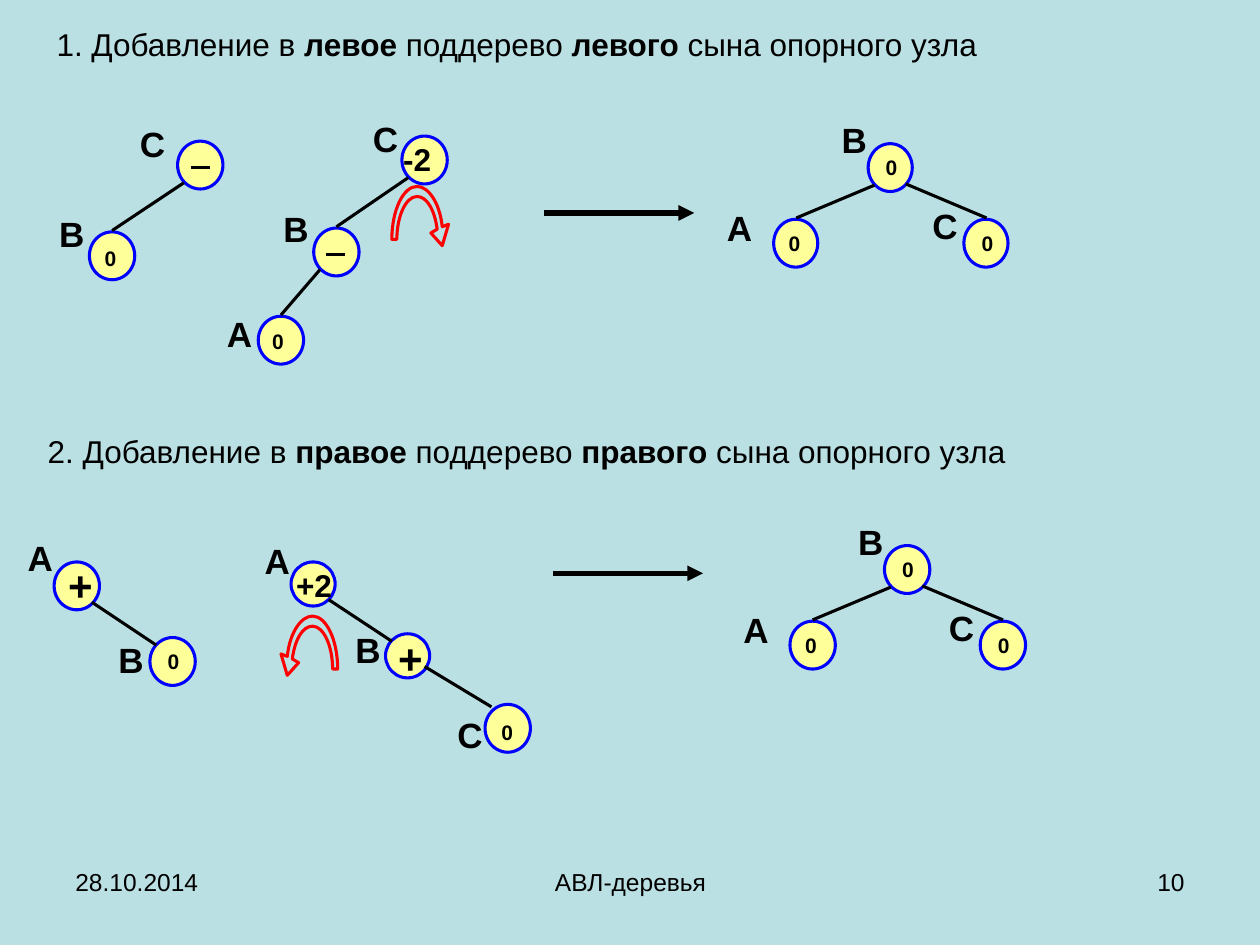
from dataclasses import dataclass

from lxml import etree
from pptx import Presentation
from pptx.dml.color import RGBColor
from pptx.enum import shapes, text
from pptx.oxml.ns import qn
from pptx.util import Inches, Pt

BACKGROUND, BLACK, RED = "BBE0E3", "000000", "FF0000"
NODE_FILL, NODE_LINE = "FFFF99", "0000FF"
NODE_SIZE, NARROW_NODE, SMALL_NODE = (0.36, 0.38), (0.35, 0.38), (0.35, 0.35)

# Where an edge meets a node, measured from the node's top left corner
LOWER_LEFT, LOWER_RIGHT = (0.05, 0.33), (0.3, 0.32)
TOP, UPPER_LEFT = (0.18, -0.01), (0.05, 0.06)

# Balance mark: font size, box width, box height
MARKS = {"0": (12, 0.14, 0.22), "+": (24, 0.18, 0.42),
         "-2": (18, 0.35, 0.32), "+2": (18, 0.35, 0.32)}
MINUS, MINUS_WIDTH = "–", 0.15


@dataclass
class Node:
    name: str
    at: tuple        # from the tree's corner
    name_at: tuple   # from the node's corner
    mark: str
    mark_at: tuple   # from the node's corner
    size: tuple = NODE_SIZE


def color(value):
    return RGBColor.from_string(value)


def shift(origin, offset):
    return origin[0] + offset[0], origin[1] + offset[1]


def add_text(parts, box, runs, size, align=text.PP_ALIGN.LEFT, inset=(0.1, 0.05)):
    """Runs are (words, bold) pairs."""
    frame = parts.add_textbox(*map(Inches, box)).text_frame
    frame.word_wrap = True
    frame.margin_left = frame.margin_right = Inches(inset[0])
    frame.margin_top = frame.margin_bottom = Inches(inset[1])
    para = frame.paragraphs[0]
    para.alignment = align
    for words, bold in runs:
        span = para.add_run()
        span.text = words
        span.font.name = "Arial"
        span.font.size = Pt(size)
        span.font.bold = bold
        span.font.color.rgb = color(BLACK)


def add_label(parts, at, words, size, width, height):
    add_text(parts, (*at, width, height), [(words, True)], size, inset=(0.02, 0.01))


def add_line(parts, start, end, width=1.75, arrow=False):
    line = parts.add_connector(shapes.MSO_CONNECTOR.STRAIGHT,
                               *map(Inches, (*start, *end)))
    line.line.color.rgb = color(BLACK)
    line.line.width = Pt(width)
    properties = line._element.spPr
    if arrow:
        etree.SubElement(properties.find(qn("a:ln")), qn("a:tailEnd"), type="triangle")
    etree.SubElement(properties, qn("a:effectLst"))


def paint(shape, fill, outline):
    shape.shadow.inherit = False
    shape.fill.solid()
    shape.fill.fore_color.rgb = color(fill)
    shape.line.color.rgb = color(outline)
    shape.line.width = Pt(1.75)


def add_tree(page, corner, nodes, edges):
    """Edges are (parent, child, offset at parent, offset at child)."""
    parts = page.shapes.add_group_shape().shapes
    places = {node.name: shift(corner, node.at) for node in nodes}
    for node in nodes:
        circle = parts.add_shape(shapes.MSO_SHAPE.OVAL,
                                 *map(Inches, (*places[node.name], *node.size)))
        paint(circle, NODE_FILL, NODE_LINE)
    for parent, child, start, end in edges:
        add_line(parts, shift(places[parent], start), shift(places[child], end))
    for node in nodes:
        place = places[node.name]
        width = 0.24 if node.name in "AB" else 0.22
        add_label(parts, shift(place, node.name_at), node.name, 20, width, 0.36)
        mark_at = shift(place, node.mark_at)
        if node.mark == MINUS:
            add_line(parts, mark_at, shift(mark_at, (MINUS_WIDTH, 0)))
        else:
            add_label(parts, mark_at, node.mark, *MARKS[node.mark])


def add_balanced_tree(page, corner, size):
    nodes = [Node("B", (1.14, 0.21), (-0.23, -0.21), "0", (0.12, 0.08), size),
             Node("A", (0.39, 0.81), (-0.39, -0.11), "0", (0.1, 0.08), size),
             Node("C", (1.9, 0.81), (-0.27, -0.13), "0", (0.12, 0.08), size)]
    add_tree(page, corner, nodes,
             [("B", "A", LOWER_LEFT, TOP), ("B", "C", LOWER_RIGHT, TOP)])


def add_rotation_arrow(page, corner, width, mirrored=False):
    """Hollow bent arrow turning right, or left when mirrored."""
    start = (0.36, 0.34)
    # One point is a straight side, three are a Bezier curve
    sides = [[(0.34, 0.19), (0.28, 0.08), (0.2, 0.08)],
             [(0.11, 0.08), (0.04, 0.24), (0.04, 0.42)],
             [(0, 0.42)],
             [(0, 0.19), (0.09, 0), (0.2, 0)],
             [(0.29, 0), (0.38, 0.13), (0.4, 0.32)],
             [(0.45, 0.3)], [(0.4, 0.47)], [(0.31, 0.37)]]

    def turn(point):
        return (width - point[0], point[1]) if mirrored else point

    def place(point):
        return tuple(map(Inches, shift(corner, turn(point))))

    builder = page.shapes.build_freeform(*place(start), scale=1.0)
    builder.add_line_segments([place(side[-1]) for side in sides], close=True)
    arrow = builder.convert_to_shape()
    paint(arrow, BACKGROUND, RED)
    # Bend the curved sides
    for line, side in zip(list(arrow._element.iter(qn("a:lnTo"))), sides):
        if len(side) == 3:
            line.tag = qn("a:cubicBezTo")
            for index, point in enumerate(side[:2]):
                x, y = place(point)
                line.insert(index, line.makeelement(
                    qn("a:pt"), {"x": str(x - arrow.left), "y": str(y - arrow.top)}))


def add_result_arrow(page, start):
    add_line(page.shapes, start, shift(start, (1.19, 0)), 3, arrow=True)


def add_heading(page, corner, number, first, second):
    runs = [(f"{number}. Добавление в ", False), (f"{first} ", True),
            ("поддерево ", False), (f"{second} ", True),
            ("сына опорного узла", False)]
    add_text(page.shapes, (*corner, 8.35, 0.4), runs, 18)


def add_left_case(page):
    add_heading(page, (0.35, 0.15), 1, "левое", "левого")
    # Before the insertion
    add_tree(page, (0.45, 0.96),
             [Node("С", (0.96, 0.16), (-0.32, -0.16), MINUS, (0.11, 0.21)),
              Node("B", (0.26, 0.88), (-0.26, -0.16), "0", (0.1, 0.1))],
             [("С", "B", LOWER_LEFT, TOP)])
    # After the insertion
    add_tree(page, (1.78, 0.92),
             [Node("C", (1.41, 0.16), (-0.25, -0.16), "-2", (-0.01, 0.02)),
              Node("B", (0.71, 0.89), (-0.26, -0.17), MINUS, (0.1, 0.21)),
              Node("A", (0.27, 1.59), (-0.27, -0.04), "0", (0.09, 0.09))],
             [("C", "B", LOWER_LEFT, TOP), ("B", "A", LOWER_LEFT, TOP)])
    # Rotation and result
    add_rotation_arrow(page, (3.11, 1.48), 0.45)
    add_result_arrow(page, (4.32, 1.69))
    add_balanced_tree(page, (5.75, 0.93), NARROW_NODE)


def add_right_case(page):
    add_heading(page, (0.28, 3.38), 2, "правое", "правого")
    # Before the insertion
    add_tree(page, (0.2, 4.25),
             [Node("A", (0.23, 0.21), (-0.23, -0.21), "+", (0.09, -0.03)),
              Node("B", (0.99, 0.81), (-0.27, 0), "0", (0.12, 0.08))],
             [("A", "B", LOWER_RIGHT, UPPER_LEFT)])
    # After the insertion
    add_tree(page, (2.08, 4.27),
             [Node("A", (0.23, 0.19), (-0.23, -0.19), "+2", (0.02, 0.02), SMALL_NODE),
              Node("B", (0.98, 0.76), (-0.26, -0.05), "+", (0.08, -0.02), SMALL_NODE),
              Node("C", (1.77, 1.32), (-0.24, 0.06), "0", (0.11, 0.11))],
             [("A", "B", (0.3, 0.3), UPPER_LEFT),
              ("B", "C", (0.31, 0.26), (0.05, 0.02))])
    # Rotation and result
    add_rotation_arrow(page, (2.22, 4.89), 0.46, mirrored=True)
    add_result_arrow(page, (4.39, 4.55))
    add_balanced_tree(page, (5.88, 4.12), NODE_SIZE)


def add_footer(page, top, height):
    for left, width, words, align in (
            (0.5, 2.33, "28.10.2014", text.PP_ALIGN.LEFT),
            (3.42, 3.17, "АВЛ-деревья", text.PP_ALIGN.CENTER),
            (7.17, 2.33, "10", text.PP_ALIGN.RIGHT)):
        add_text(page.shapes, (left, top, width, height), [(words, False)], 14, align)


def main():
    deck = Presentation()
    deck.slide_width, deck.slide_height = Inches(10), Inches(7.5)
    page = deck.slides.add_slide(deck.slide_layouts[6])
    page.background.fill.solid()
    page.background.fill.fore_color.rgb = color(BACKGROUND)
    add_left_case(page)
    add_right_case(page)
    add_footer(page, 6.83, 0.52)
    deck.save("out.pptx")


if __name__ == "__main__":
    main()
